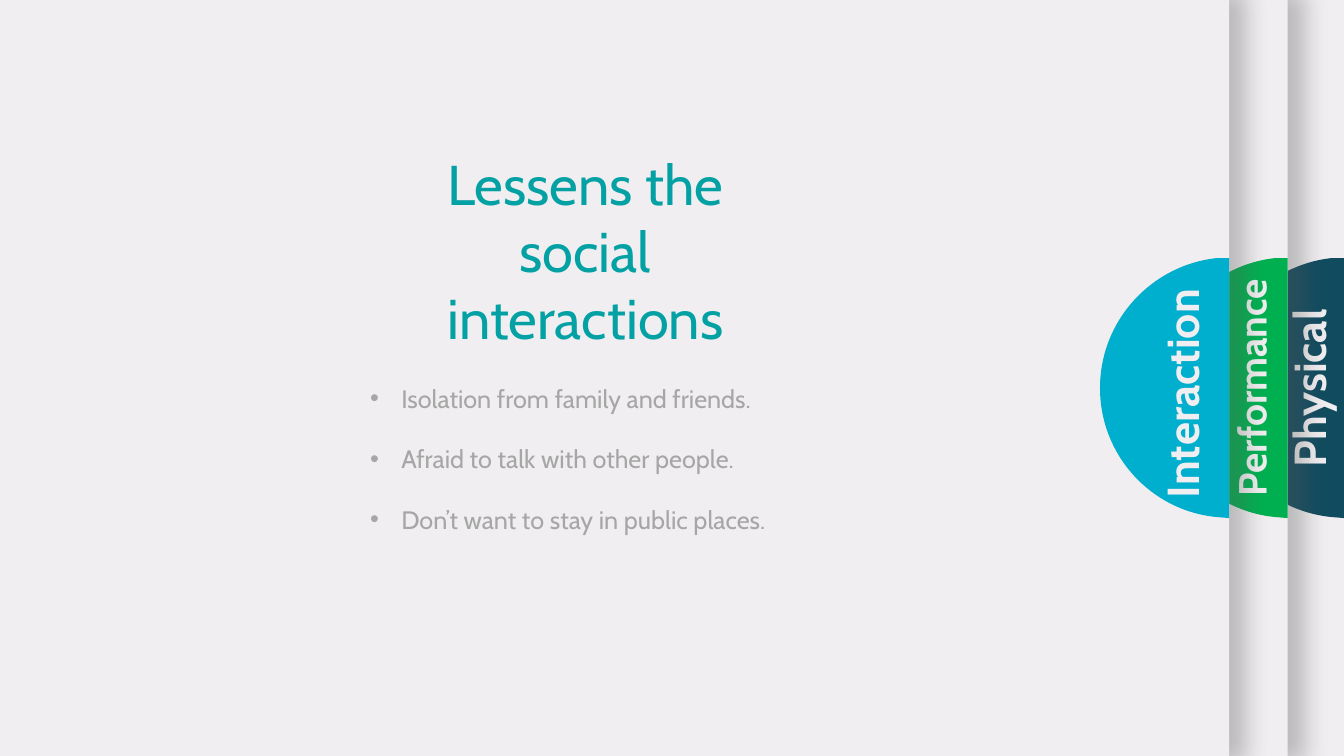
from lxml import etree
from pptx import Presentation
from pptx.dml.color import RGBColor
from pptx.enum import shapes, text
from pptx.oxml import ns
from pptx.util import Emu, Inches, Pt

COLORS = {
    "panel": "F0EEF0",
    "shadow": "595959",
    "physical": "114B5F",
    "performance": "00B050",
    "interaction": "00AECD",
    "title": "03A1A4",
    "body": "A6A6A6",
}
TABS = [
    ("Physical", "physical", 32, (-0.32, 13.65), (11.89, 3.53, 2.18, 0.64)),
    ("Performance", "performance", 28, (0.25, 12.52), (11.12, 3.56, 2.58, 0.57)),
    ("Interaction", "interaction", 32, (-0.32, 12.51), (10.41, 3.54, 2.71, 0.73)),
]
REASONS = [
    "Isolation from family and friends.",
    "Afraid to talk with other people.",
    "Don’t want to stay in public places.",
]


def rgb(name):
    return RGBColor.from_string(COLORS[name])


def write(p, content, size, color, bold=False, align=text.PP_ALIGN.CENTER, before=0):
    p.alignment = align
    p.line_spacing = 1.0
    p.space_before = Pt(before)
    p.space_after = Pt(0)
    r = p.add_run()
    r.text = content
    r.font.name = "Cabin"
    r.font.size = Pt(size)
    r.font.bold = bold
    r.font.color.rgb = rgb(color)


class Deck:
    def __init__(self):
        self.prs = Presentation()
        self.prs.slide_width = Inches(13.33)
        self.prs.slide_height = Inches(7.5)
        self.s = self.prs.slides.add_slide(self.prs.slide_layouts[1])

    def paint(self, sp, color):
        sp.fill.solid()
        sp.fill.fore_color.rgb = rgb(color)
        sp.line.fill.background()
        sp.shadow.inherit = False

    def panel(self, group, left, width):
        sp = group.shapes.add_shape(
            shapes.MSO_SHAPE.RECTANGLE, Inches(left), 0, Inches(width), Inches(7.5))
        self.paint(sp, "panel")
        effects = sp._element.spPr.find(ns.qn("a:effectLst"))
        shadow = etree.SubElement(
            effects, ns.qn("a:outerShdw"), blurRad=str(Pt(17)), dist=str(Pt(3)),
            dir="0", sx="102000", sy="102000", algn="ctr", rotWithShape="0")
        color = etree.SubElement(shadow, ns.qn("a:srgbClr"), val=COLORS["shadow"])
        etree.SubElement(color, ns.qn("a:alpha"), val="35000")

    def half_disc(self, group, right, color):
        left, top = right - 1.28, 2.56
        corners = [(1.28, 0), (1.28, 2.58), (1.16, 2.57), (0, 1.29), (1.16, 0)]
        points = [(Inches(left + x), Inches(top + y)) for x, y in corners]
        outline = group.shapes.build_freeform(*points[0])
        outline.add_line_segments(points[1:], close=True)
        sp = outline.convert_to_shape()
        self.paint(sp, color)
        handles = [[(0.51, 2.51), (0, 1.96)], [(0, 0.62), (0.51, 0.07)]]
        lines = list(sp._element.iter(ns.qn("a:lnTo")))
        for line, pair in zip(lines[2:4], handles):
            curve = etree.Element(ns.qn("a:cubicBezTo"))
            for x, y in pair:
                etree.SubElement(curve, ns.qn("a:pt"), x=str(Inches(x)), y=str(Inches(y)))
            curve.append(line[0])
            line.getparent().replace(line, curve)

    def label(self, group, content, size, box):
        sp = group.shapes.add_textbox(*map(Inches, box))
        sp.rotation = 270
        tf = sp.text_frame
        tf.word_wrap = True
        write(tf.paragraphs[0], content, size, "panel", bold=True)

    def placeholder(self, sp, box):
        sp.left, sp.top, sp.width, sp.height = map(Inches, box)
        self.s.shapes._spTree.append(sp._element)
        tf = sp.text_frame
        tf.word_wrap = True
        tf.auto_size = text.MSO_AUTO_SIZE.NONE
        tf.vertical_anchor = text.MSO_ANCHOR.TOP
        return tf

    def title(self, content, box):
        tf = self.placeholder(self.s.shapes.title, box)
        write(tf.paragraphs[0], content, 40, "title")

    def bullets(self, items, box):
        tf = self.placeholder(self.s.placeholders[1], box)
        for i, item in enumerate(items):
            p = tf.add_paragraph() if i else tf.paragraphs[0]
            pPr = p._p.get_or_add_pPr()
            pPr.set("marL", str(Inches(0.31)))
            pPr.set("indent", str(Emu(-Inches(0.31))))
            etree.SubElement(pPr, ns.qn("a:buFont"), typeface="Arial")
            etree.SubElement(pPr, ns.qn("a:buChar"), char="•")
            write(p, item, 18, "body", align=text.PP_ALIGN.JUSTIFY,
                  before=21.6 if i else 0)


def main():
    deck = Deck()
    for name, color, size, (left, width), box in TABS:
        group = deck.s.shapes.add_group_shape()
        deck.panel(group, left, width)
        deck.half_disc(group, left + width, color)
        deck.label(group, name, size, box)
    deck.title("Lessens the social interactions", (3.76, 1.43, 4.09, 1.88))
    deck.bullets(REASONS, (3.57, 3.75, 5.18, 1.92))
    deck.prs.save("out.pptx")


if __name__ == "__main__":
    main()
